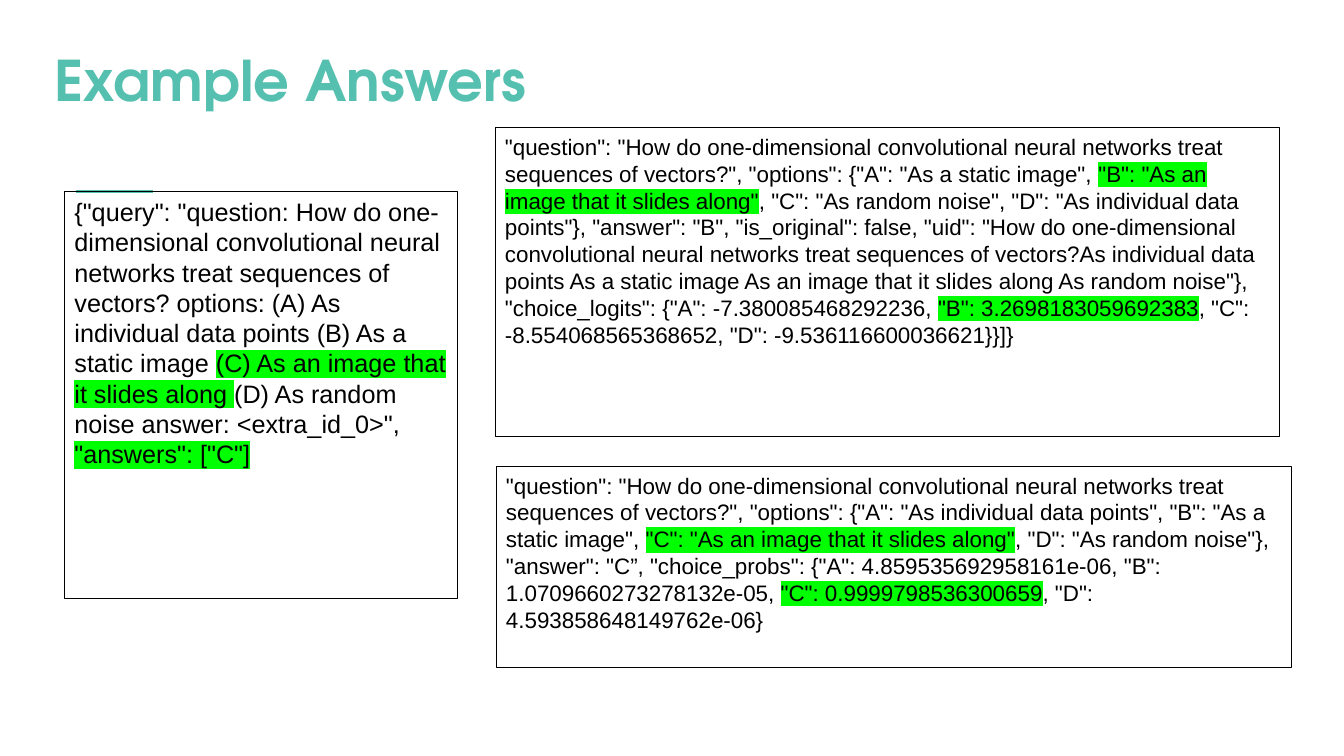
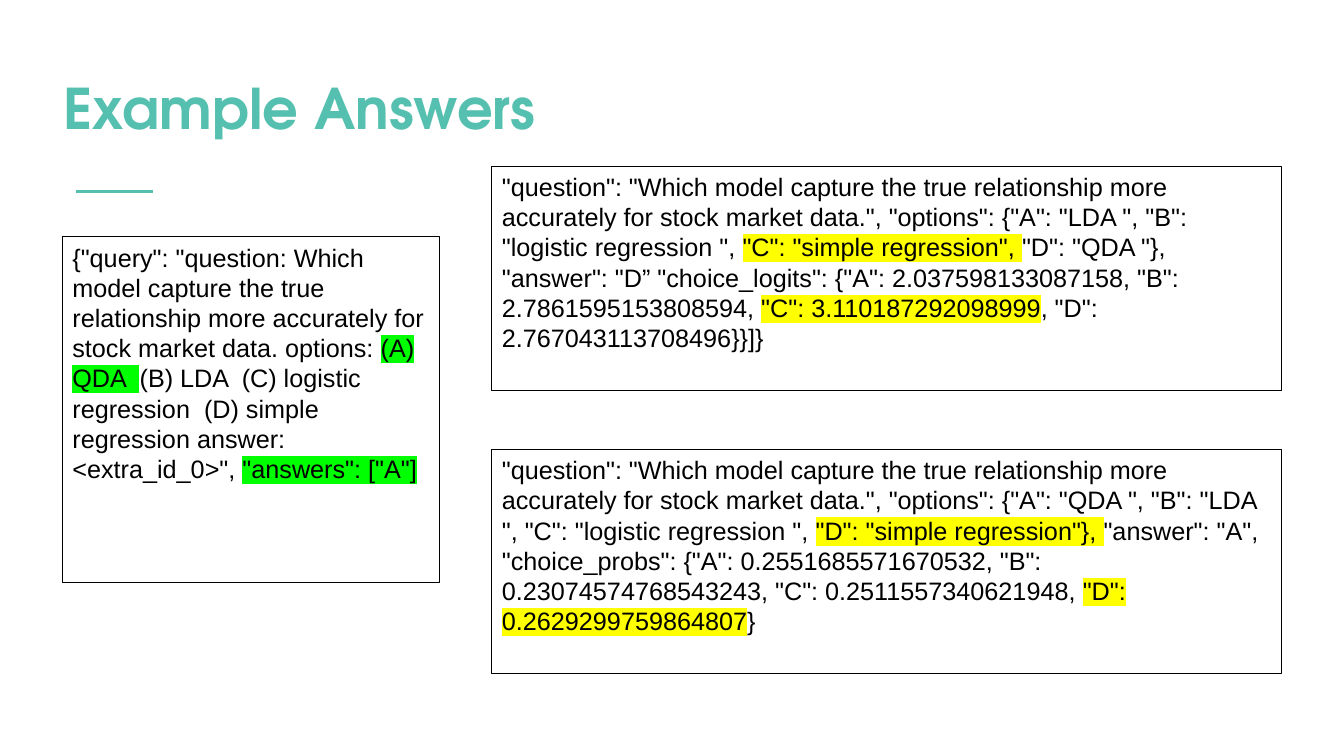
from lxml.etree import SubElement
from pptx import Presentation
from pptx.dml.color import RGBColor
from pptx.enum.shapes import MSO_CONNECTOR, MSO_SHAPE
from pptx.enum.text import MSO_ANCHOR, PP_ALIGN
from pptx.oxml.ns import qn
from pptx.util import Inches, Pt

TEAL = RGBColor(0x55, 0xC0, 0xAF)
BLACK = RGBColor(0x00, 0x00, 0x00)
GREEN = RGBColor(0x00, 0xFF, 0x00)
YELLOW = RGBColor(0xFF, 0xFF, 0x00)
TITLE_FONT, BODY_FONT = "TeX Gyre Adventor", "Arial"
TITLE_SIZE = (4.96, 0.77)
ACCENT_LEFT, ACCENT_RIGHT, ACCENT_TOP = 0.75, 1.52, 1.9

# Text pieces alternate between plain and highlighted.
SLIDES = [
    {
        "title": "Example Answers",
        "title_at": (0.4, 0.4),
        "boxes": [
            {"at": (0.64, 1.9, 3.9, 4.04), "size": 18, "highlight": GREEN, "pieces": [
                '{"query": "question: How do one-dimensional convolutional neural networks treat '
                'sequences of vectors? options: (A) As individual data points (B) As a static image ',
                '(C) As an image that it slides along ',
                '(D) As random noise answer: <extra_id_0>", ',
                '"answers": ["C"]',
            ]},
            {"at": (4.91, 1.27, 7.78, 3.06), "size": 16, "highlight": GREEN, "pieces": [
                '"question": "How do one-dimensional convolutional neural networks treat sequences '
                'of vectors?", "options": {"A": "As a static image", ',
                '"B": "As an image that it slides along"',
                ', "C": "As random noise", "D": "As individual data points"}, "answer": "B", '
                '"is_original": false, "uid": "How do one-dimensional convolutional neural networks '
                'treat sequences of vectors?As individual data points As a static image As an image '
                'that it slides along As random noise"}, "choice_logits": {"A": -7.380085468292236, ',
                '"B": 3.2698183059692383',
                ', "C": -8.554068565368652, "D": -9.536116600036621}}]}',
            ]},
            {"at": (4.92, 4.63, 7.89, 1.99), "size": 16, "highlight": GREEN, "pieces": [
                '"question": "How do one-dimensional convolutional neural networks treat sequences '
                'of vectors?", "options": {"A": "As individual data points", "B": "As a static image", ',
                '"C": "As an image that it slides along"',
                ', "D": "As random noise"}, "answer": "C”, "choice_probs": '
                '{"A": 4.859535692958161e-06, "B": 1.0709660273278132e-05, ',
                '"C": 0.9999798536300659',
                ', "D": 4.593858648149762e-06}',
            ]},
        ],
    },
    {
        "title": "Example Answers",
        "title_at": (0.49, 0.68),
        "boxes": [
            {"at": (4.88, 1.65, 7.83, 2.22), "size": 18, "highlight": YELLOW, "pieces": [
                '"question": "Which model capture the true relationship more accurately for stock '
                'market data.", "options": {"A": "LDA ", "B": "logistic regression ", ',
                '"C": "simple regression", ',
                '"D": "QDA "}, "answer": "D” "choice_logits": {"A": 2.037598133087158, '
                '"B": 2.7861595153808594, ',
                '"C": 3.110187292098999',
                ', "D": 2.767043113708496}}]}',
            ]},
            {"at": (0.62, 2.35, 3.74, 3.43), "size": 18, "highlight": GREEN, "pieces": [
                '{"query": "question: Which model capture the true relationship more accurately '
                'for stock market data. options: ',
                '(A) QDA  ',
                '(B) LDA  (C) logistic regression  (D) simple regression answer: <extra_id_0>", ',
                '"answers": ["A"]',
            ]},
            {"at": (4.88, 4.46, 7.83, 2.22), "size": 18, "highlight": YELLOW, "pieces": [
                '"question": "Which model capture the true relationship more accurately for stock '
                'market data.", "options": {"A": "QDA ", "B": "LDA ", "C": "logistic regression ", ',
                '"D": "simple regression"}, ',
                '"answer": "A", "choice_probs": {"A": 0.2551685571670532, '
                '"B": 0.23074574768543243, "C": 0.2511557340621948, ',
                '"D": 0.2629299759864807',
                '}',
            ]},
        ],
    },
]


def write_text(shape, pieces, size, font=BODY_FONT, color=BLACK, bold=False,
               align=PP_ALIGN.LEFT, highlight=None):
    frame = shape.text_frame
    frame.word_wrap = True
    frame.vertical_anchor = MSO_ANCHOR.TOP
    paragraph = frame.paragraphs[0]
    paragraph.alignment = align
    for index, piece in enumerate(pieces):
        run = paragraph.add_run()
        run.text = piece
        run.font.size = Pt(size)
        run.font.bold = bold
        run.font.color.rgb = color
        if index % 2:
            properties = run.font._element
            mark = SubElement(properties, qn("a:highlight"))
            SubElement(mark, qn("a:srgbClr"), val=str(highlight))
        run.font.name = font


def add_title(slide, text, left, top):
    title = slide.shapes.title
    title.left, title.top = Inches(left), Inches(top)
    title.width, title.height = (Inches(length) for length in TITLE_SIZE)
    write_text(title, [text], size=40, font=TITLE_FONT, color=TEAL, bold=True,
               align=PP_ALIGN.CENTER)


def add_accent(slide):
    accent = slide.shapes.add_connector(
        MSO_CONNECTOR.STRAIGHT, Inches(ACCENT_LEFT), Inches(ACCENT_TOP),
        Inches(ACCENT_RIGHT), Inches(ACCENT_TOP))
    accent.line.color.rgb = TEAL
    accent.line.width = Pt(2.25)
    SubElement(accent._element.spPr, qn("a:effectLst"))


def add_answer_box(slide, at, **text_format):
    box = slide.shapes.add_shape(MSO_SHAPE.RECTANGLE, *(Inches(length) for length in at))
    box.shadow.inherit = False
    box.fill.background()
    box.line.color.rgb = BLACK
    box.line.width = Pt(0.75)
    write_text(box, **text_format)


def main():
    presentation = Presentation()
    presentation.slide_width, presentation.slide_height = Inches(13.33), Inches(7.5)
    title_only = presentation.slide_layouts[5]
    for content in SLIDES:
        slide = presentation.slides.add_slide(title_only)
        add_title(slide, content["title"], *content["title_at"])
        add_accent(slide)
        for box in content["boxes"]:
            add_answer_box(slide, **box)
    presentation.save("out.pptx")


if __name__ == "__main__":
    main()
